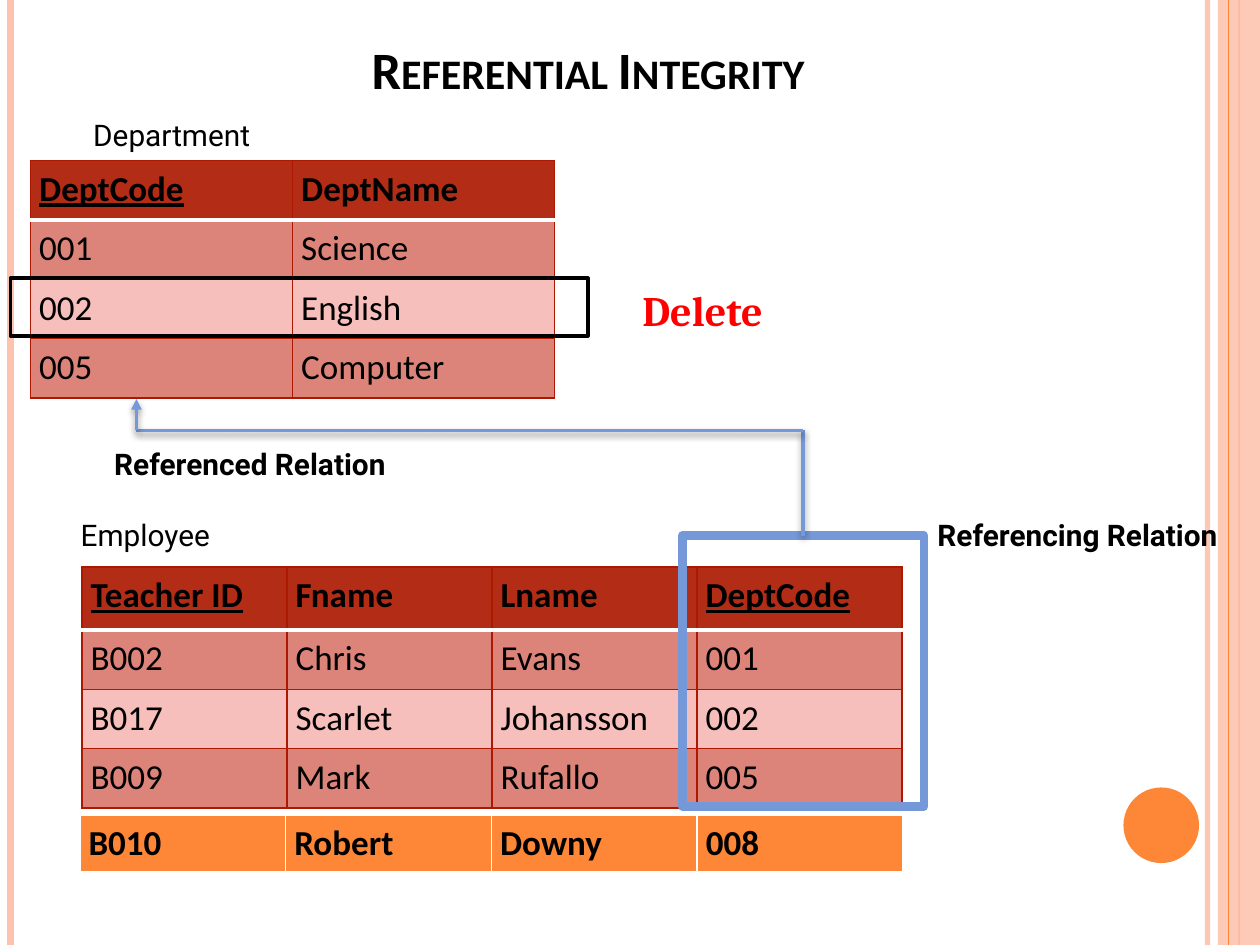
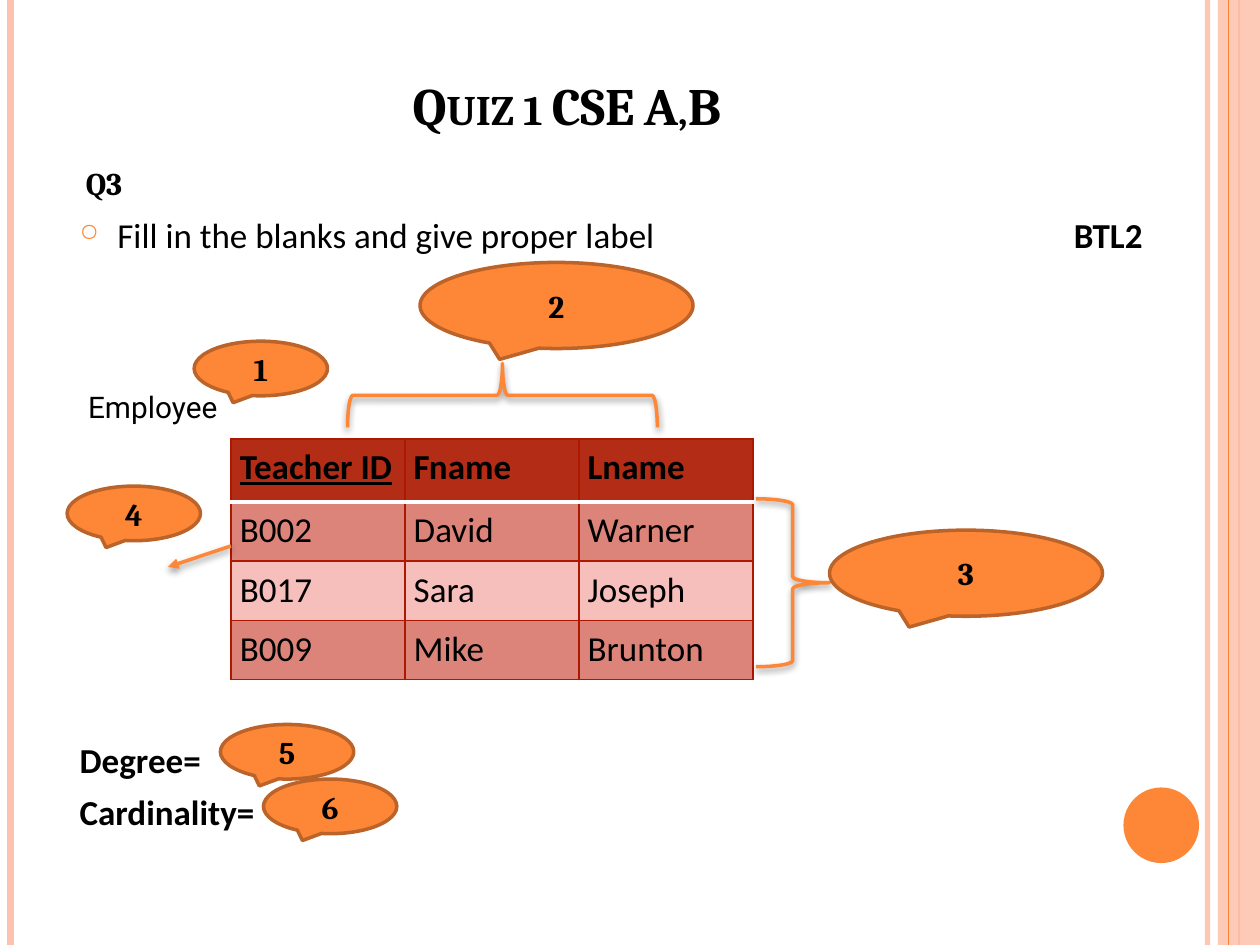
import itertools
from typing import Any, NamedTuple

import pptx
import pptx.dml.color
import pptx.enum.shapes
import pptx.enum.text
import pptx.oxml.ns
import pptx.util
from lxml import etree

COLS, ROWS = 120, 90
WIDE, HIGH = pptx.util.Inches(10), pptx.util.Inches(7.5)
INK, WHITE, RED = "000000", "FFFFFF", "FF0000"
ORANGE, RUST, PEACH, BLUE = "FE8637", "BC6329", "FEC3AE", "7598D9"
HEAD, EDGE, DARK, LIGHT = "B32C16", "AC1800", "DC847A", "F7BFBC"
FORM = pptx.enum.shapes.MSO_SHAPE
ALIGN = pptx.enum.text.PP_ALIGN
ANCHOR = pptx.enum.text.MSO_ANCHOR
qn = pptx.oxml.ns.qn


class Box(NamedTuple):
    """Left, top, width and height in grid columns and rows."""
    x: float
    y: float
    w: float
    h: float


class Rule(NamedTuple):
    col: float
    width: float
    color: str
    alpha: int = 100


class Label(NamedTuple):
    text: str
    box: Box
    bold: bool = False


class Call(NamedTuple):
    text: str
    x: float
    y: float
    big: bool = False


class Grid(NamedTuple):
    x: float
    y: float
    w: float
    rows: list[str]
    keys: tuple[str, ...]


def across(n: float) -> int:
    return round(n * WIDE / COLS)


def down(n: float) -> int:
    return round(n * HIGH / ROWS)


def place(box: Box) -> tuple[int, int, int, int]:
    return across(box.x), down(box.y), across(box.w), down(box.h)


def rgb(code: str) -> Any:
    return pptx.dml.color.RGBColor.from_string(code)


def node(parent: Any, tag: str, **attrs: Any) -> Any:
    return etree.SubElement(parent, qn(tag), {k: str(v) for k, v in attrs.items()})


def paint(fill: Any, color: str | None) -> None:
    if color:
        fill.solid()
        fill.fore_color.rgb = rgb(color)
    else:
        fill.background()


def fade(part: Any, percent: int) -> None:
    """Make the first colour of an XML part partly transparent."""
    if percent < 100:
        node(next(part.iter(qn("a:srgbClr"))), "a:alpha", val=percent * 1000)


def shade(effect: Any) -> None:
    """Add a soft shadow that falls straight down."""
    cast = node(effect, "a:outerShdw", blurRad=pptx.util.Pt(4), dist=pptx.util.Pt(2),
                dir=5400000, rotWithShape=0)
    node(node(cast, "a:srgbClr", val=INK), "a:alpha", val=40000)


def write(frame: Any, text: str, *, size: float = 20, font: str = "Calibri",
          color: str = INK, bold: bool = False, under: bool = False,
          small: bool = False, align: Any = ALIGN.LEFT, anchor: Any = ANCHOR.TOP,
          inset: tuple[float, float] = (0.1, 0.05), gap: float = 0,
          bullet: str = "") -> None:
    """Fill a text frame, one paragraph a line; inset and gap are inches and points."""
    frame.word_wrap = True
    frame.vertical_anchor = anchor
    frame.margin_left = frame.margin_right = pptx.util.Inches(inset[0])
    frame.margin_top = frame.margin_bottom = pptx.util.Inches(inset[1])
    for i, line in enumerate(text.split("\n")):
        para = frame.add_paragraph() if i else frame.paragraphs[0]
        para.alignment = align
        if i:
            para.space_before = pptx.util.Pt(gap)
        if bullet:
            props = para._p.get_or_add_pPr()
            hang = pptx.util.Inches(0.3)
            props.set("marL", str(hang))
            props.set("indent", str(-hang))
            node(node(props, "a:buClr"), "a:srgbClr", val=ORANGE)
            node(props, "a:buSzPct", val=70000)
            node(props, "a:buChar", char=bullet)
        run = para.add_run()
        run.text = line
        run.font.size = pptx.util.Pt(size)
        run.font.name = font
        run.font.bold = bold
        run.font.underline = under
        run.font.color.rgb = rgb(color)
        if small:
            run._r.get_or_add_rPr().set("cap", "small")


def note(slide: Any, text: str, box: Box, **style: Any) -> None:
    write(slide.shapes.add_textbox(*place(box)).text_frame, text, **style)


def title(slide: Any, text: str, box: Box, font: str) -> None:
    note(slide, text, box, size=30, font=font, bold=True, small=True,
         align=ALIGN.CENTER, anchor=ANCHOR.BOTTOM)


def tag(slide: Any, label: Label) -> None:
    note(slide, label.text, label.box, size=17, font="Roboto", bold=label.bold,
         inset=(0.09, 0.04))


def shape(slide: Any, form: Any, box: Box, *, fill: str | None = None,
          line: str | None = None, width: float = 2, shadow: bool = False) -> Any:
    item = slide.shapes.add_shape(form, *place(box))
    item.shadow.inherit = False
    paint(item.fill, fill)
    paint(item.line.fill, line)
    if line:
        item.line.width = pptx.util.Pt(width)
    if shadow:
        shade(item._element.spPr.find(qn("a:effectLst")))
    return item


def link(slide: Any, start: tuple[float, float], end: tuple[float, float], color: str,
         width: float = 2, *, arrow: bool = False, shadow: bool = False) -> Any:
    item = slide.shapes.add_connector(
        pptx.enum.shapes.MSO_CONNECTOR.STRAIGHT,
        across(start[0]), down(start[1]), across(end[0]), down(end[1]))
    item.line.color.rgb = rgb(color)
    item.line.width = pptx.util.Pt(width)
    props = item._element.spPr
    if arrow:
        node(props.find(qn("a:ln")), "a:tailEnd", type="triangle")
    effect = node(props, "a:effectLst")
    if shadow:
        shade(effect)
    return item


def border(cell: Any, **sides: tuple[str, float]) -> None:
    """Set the L, R, T and B borders, given in that order."""
    props = cell._tc.get_or_add_tcPr()
    for i, (side, (color, width)) in enumerate(sides.items()):
        line = node(props, f"a:ln{side}", w=pptx.util.Pt(width))
        node(node(line, "a:solidFill"), "a:srgbClr", val=color)
        props.insert(i, line)


def lay(slide: Any, x: float, y: float, w: float, rows: list[str],
        heights: list[float]) -> Any:
    """Add a table of equal columns from rows of words parted by bars."""
    data = [row.split("|") for row in rows]
    box = Box(x, y, w, sum(heights))
    table = slide.shapes.add_table(len(data), len(data[0]), *place(box)).table
    for row, high in zip(table.rows, heights):
        row.height = down(high)
    return table, data


def dress(cell: Any, text: str, fill: str, **style: Any) -> None:
    write(cell.text_frame, text, **style)
    cell.margin_left = cell.margin_right = pptx.util.Inches(0.07)
    cell.margin_top = cell.margin_bottom = pptx.util.Inches(0.06)
    paint(cell.fill, fill)


def relation(slide: Any, grid: Grid, top: float) -> None:
    heights = [top] + [5.65] * (len(grid.rows) - 1)
    table, data = lay(slide, grid.x, grid.y, grid.w, grid.rows, heights)
    thin, thick = (EDGE, 1), (WHITE, 2.25)
    for r, words in enumerate(data):
        fill = HEAD if r == 0 else DARK if r % 2 else LIGHT
        for c, word in enumerate(words):
            cell = table.cell(r, c)
            dress(cell, word, fill, bold=r == 0, under=r == 0 and word in grid.keys)
            border(cell, L=thin, R=thin, T=thick if r == 1 else thin,
                   B=thick if r == 0 else thin)


def extra(slide: Any, x: float, y: float, w: float, row: str) -> None:
    """Add the loose orange row below a relation."""
    table, data = lay(slide, x, y, w, [row], [5.6])
    thin = (WHITE, 1)
    for c, word in enumerate(data[0]):
        dress(table.cell(0, c), word, ORANGE, bold=True)
        border(table.cell(0, c), L=thin, R=thin, T=thin, B=(WHITE, 3))


def call(slide: Any, item: Call) -> None:
    size = (26, 8.2) if item.big else (12.7, 5.2)
    bubble = shape(slide, FORM.OVAL_CALLOUT, Box(item.x, item.y, *size),
                   fill=ORANGE, line=RUST)
    write(bubble.text_frame, item.text, size=18, font="Cambria", bold=True,
          align=ALIGN.CENTER, anchor=ANCHOR.MIDDLE)


def rule(slide: Any, item: Rule) -> None:
    line = link(slide, (item.col, 0), (item.col, ROWS), item.color, item.width)
    fade(line._element.spPr, item.alpha)


def start(deck: Any) -> Any:
    """Add a blank slide with the side bands and the disc."""
    slide = deck.slides.add_slide(deck.slide_layouts[6])
    for item in (Rule(115, 3, PEACH, 93), Rule(1, 4.5, PEACH), Rule(118, 1.5, ORANGE)):
        rule(slide, item)
    band = shape(slide, FORM.RECTANGLE, Box(116, 0, 4, ROWS), fill=PEACH)
    fade(band._element.spPr, 87)
    rule(slide, Rule(117, 0.75, ORANGE))
    shape(slide, FORM.OVAL, Box(107, 75, 7.2, 7.2), fill=ORANGE)
    return slide


def integrity(deck: Any) -> None:
    slide = start(deck)
    relation(slide, Grid(2.9, 15.3, 49.9, [
        "DeptCode|DeptName", "001|Science", "002|English", "005|Computer",
    ], ("DeptCode",)), 5.65)
    relation(slide, Grid(7.8, 54, 78.1, [
        "Teacher ID|Fname|Lname|DeptCode", "B002|Chris|Evans|001",
        "B017|Scarlet|Johansson|002", "B009|Mark|Rufallo|005",
    ], ("Teacher ID", "DeptCode")), 6)
    frame = shape(slide, FORM.RECTANGLE, Box(65, 51, 23, 25.8), line=BLUE, width=5)
    route = [(76.5, 51), (76.5, 41), (13, 41), (13, 38)]
    lines = [link(slide, a, b, BLUE, arrow=b == route[-1], shadow=True)
             for a, b in itertools.pairwise(route)]
    lines[0].begin_connect(frame, 0)
    for label in (Label("Department", Box(7.8, 10.6, 21.1, 4.4)),
                  Label("Referenced Relation", Box(9.8, 42, 32.2, 4.4), True),
                  Label("Referencing Relation", Box(88.2, 48.7, 32.2, 4.4), True),
                  Label("Employee", Box(6.6, 48.7, 19.3, 4.4))):
        tag(slide, label)
    shape(slide, FORM.RECTANGLE, Box(1, 26.5, 55, 5.5), line=INK)
    note(slide, "Delete", Box(60, 26.5, 47, 6), size=24, font="Cambria", color=RED,
         bold=True)
    title(slide, "Referential Integrity", Box(3, 3.7, 106, 6.4), "Calibri")
    extra(slide, 7.6, 77.6, 78.4, "B010|Robert|Downy|008")


def quiz(deck: Any) -> None:
    slide = start(deck)
    title(slide, "Quiz 1 CSE A,B", Box(5, 3, 98, 10.5), "Cambria")
    note(slide, "Fill in the blanks and give proper label", Box(6.4, 19.7, 70, 5),
         bullet="○")
    note(slide, "BTL2", Box(95, 19.7, 15, 5), bold=True, align=ALIGN.RIGHT)
    note(slide, "Degree=\nCardinality=", Box(6.4, 69.7, 30, 10.5), bold=True, gap=6)
    note(slide, "Q3", Box(7, 15, 23, 4.8), size=18, font="Cambria", bold=True)
    relation(slide, Grid(22, 41.8, 49.7, [
        "Teacher ID|Fname|Lname", "B002|David|Warner", "B017|Sara|Joseph",
        "B009|Mike|Brunton",
    ], ("Teacher ID",)), 6)
    tag(slide, Label("Employee", Box(7.3, 36.5, 19.3, 4.4)))
    shape(slide, FORM.RIGHT_BRACE, Box(72, 47.5, 7, 16), line=ORANGE, shadow=True)
    brace = shape(slide, FORM.LEFT_BRACE, Box(44.8, 22.9, 6.1, 29.5), line=ORANGE,
                  shadow=True)
    brace.rotation = 90
    link(slide, (22, 52), (16, 54), ORANGE, arrow=True, shadow=True)
    for item in (Call("1", 18.5, 32.5), Call("2", 40, 25, True),
                 Call("3", 79, 50.5, True), Call("4", 6.4, 46.3),
                 Call("5", 21, 69), Call("6", 25.1, 74.2)):
        call(slide, item)


def main() -> None:
    deck = pptx.Presentation()
    deck.slide_width, deck.slide_height = WIDE, HIGH
    integrity(deck)
    quiz(deck)
    deck.save("out.pptx")


if __name__ == "__main__":
    main()
